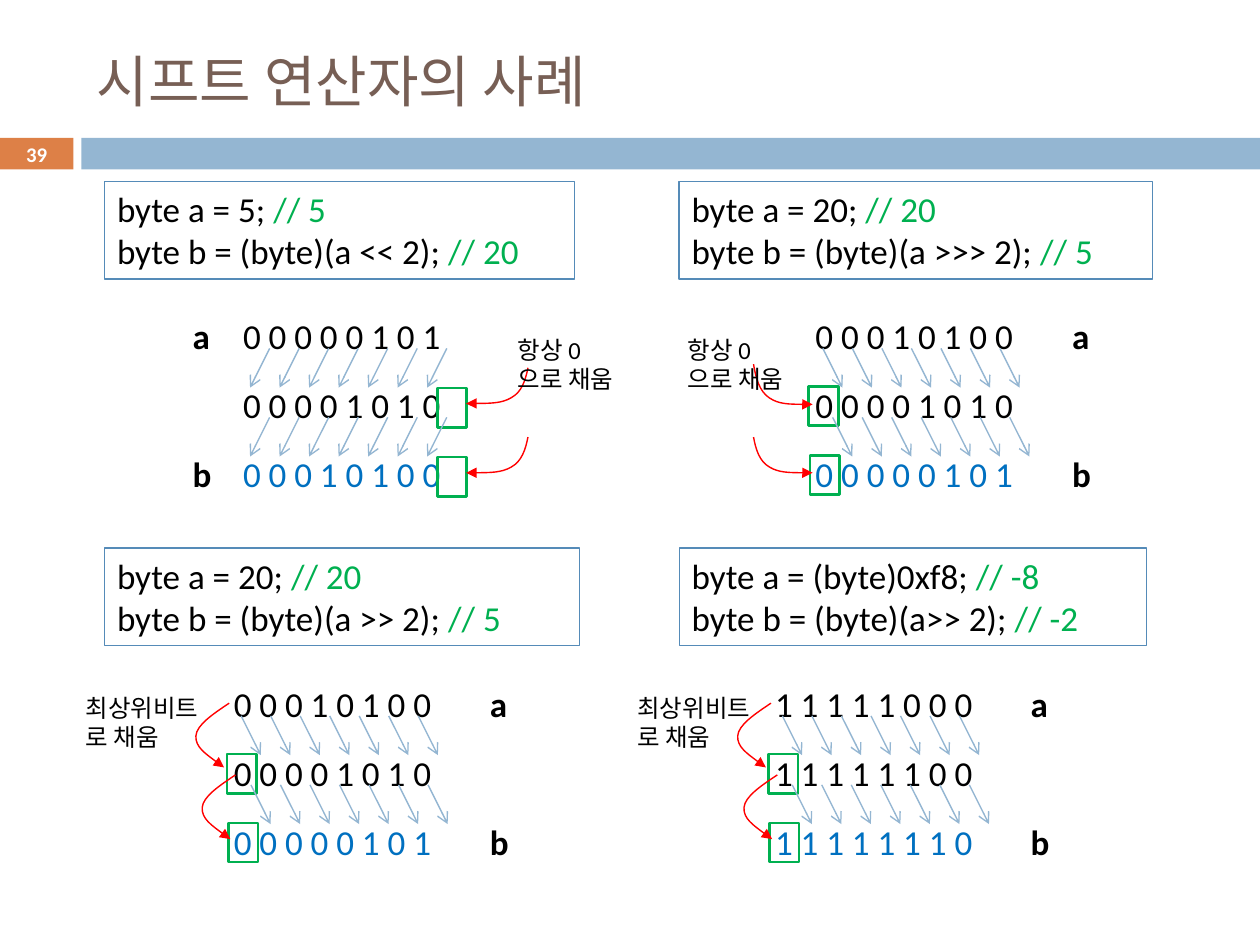
from dataclasses import dataclass

import pptx
import pptx.dml.color
import pptx.enum.shapes
import pptx.enum.text
import pptx.oxml
import pptx.oxml.ns
import pptx.util
from lxml import etree

Pt = pptx.util.Pt
ALIGN = pptx.enum.text.PP_ALIGN
ANCHOR = pptx.enum.text.MSO_ANCHOR
RECT = pptx.enum.shapes.MSO_SHAPE.RECTANGLE
qn = pptx.oxml.ns.qn

COLORS = {
    "title": "775F55", "accent": "DD8047", "band": "94B6D2", "border": "558BB8",
    "text": "000000", "comment": "00B050", "result": "0070C0", "fill_arc": "FF0000",
    "white": "FFFFFF",
}
ROW_PITCH = 39.4
ROW_HEIGHT = 31.5
BITS_WIDTH = 142.6
ARROW_COUNT = 7
ARROW_STEP = 16.87
ARROW_DX, ARROW_DY = 11.2, 22.4

# Bezier points as fractions of an arc's width and height, after the start point
HOOK = ((0.04, 0.35), (0.1, 0.68), (0.27, 0.84), (0.43, 1), (0.71, 1), (1, 1))
LOOP = ((0.48, 0.17), (0.96, 0.34), (0.98, 0.51), (1, 0.68), (0.57, 0.84), (0.15, 1))


@dataclass
class Arc:
    x: float
    y: float
    dx: float
    dy: float


@dataclass
class Panel:
    code: tuple[tuple[str, str], ...]
    code_x: float
    code_y: float
    code_width: float
    bits: tuple[str, str, str]
    bits_x: float
    bits_y: float
    label_x: float
    note: str
    note_x: float
    curve: tuple
    arcs: tuple[Arc, Arc]
    left_shift: bool = False


ALWAYS_ZERO = "항상 0\v으로 채움"
TOP_BIT = "최상위비트\v로 채움"
PANELS = (
    Panel((("byte a = 5; ", "// 5"), ("byte b = (byte)(a << 2); ", "// 20")),
          59.8, 103.7, 268.6, ("0 0 0 0 0 1 0 1", "0 0 0 0 1 0 1 0", "0 0 0 1 0 1 0 0"),
          131.8, 176.4, 103, ALWAYS_ZERO, 288.7, HOOK,
          (Arc(301.7, 210.2, -35.3, 20.4), Arc(301.7, 249.8, -35.3, 20.4)), True),
    Panel((("byte a = 20;", " // 20"), ("byte b = (byte)(a >>> 2); ", "// 5")),
          388.1, 103.7, 270.7, ("0 0 0 1 0 1 0 0", "0 0 0 0 1 0 1 0", "0 0 0 0 0 1 0 1"),
          458.9, 176.4, 605.5, ALWAYS_ZERO, 385.9, HOOK,
          (Arc(430.6, 208.1, 33.8, 23), Arc(430.6, 249.8, 33.8, 20.4))),
    Panel((("byte a = 20; ", "// 20"), ("byte b = (byte)(a >> 2); ", "// 5")),
          59.8, 313.2, 271.4, ("0 0 0 1 0 1 0 0", "0 0 0 0 1 0 1 0", "0 0 0 0 0 1 0 1"),
          126.5, 386.4, 272.9, TOP_BIT, 41.8, LOOP,
          (Arc(131, 401.8, -19.4, 36.7), Arc(134.6, 442.8, -19.4, 36.7))),
    Panel((("byte a = (byte)0xf8; ", "// -8"), ("byte b = (byte)(a>> 2); ", "// -2")),
          388.1, 313.2, 267.1, ("1 1 1 1 1 0 0 0", "1 1 1 1 1 1 0 0", "1 1 1 1 1 1 1 0"),
          435.8, 386.4, 581.8, TOP_BIT, 357.1, LOOP,
          (Arc(440.6, 401.8, -19.4, 36.7), Arc(444.2, 442.8, -19.4, 36.7))),
)


def rgb(name: str):
    return pptx.dml.color.RGBColor.from_string(COLORS[name])


def style_line(shape, color: str, width: float, arrowhead: str = "") -> None:
    shape.line.color.rgb = rgb(color)
    shape.line.width = Pt(width)
    if arrowhead:
        ln = shape.line._get_or_add_ln()
        etree.SubElement(ln, qn("a:tailEnd"), type=arrowhead)


def add_rect(s, x: float, y: float, w: float, h: float, fill: str = "",
             line: str = "", line_width: float = 0):
    sp = s.shapes.add_shape(RECT, Pt(x), Pt(y), Pt(w), Pt(h))
    sp.shadow.inherit = False
    if fill:
        sp.fill.solid()
        sp.fill.fore_color.rgb = rgb(fill)
    else:
        sp.fill.background()
    if line:
        style_line(sp, line, line_width)
    else:
        sp.line.fill.background()
    return sp


def add_text(s, text: str, x: float, y: float, w: float, h: float, size: float = 20,
             color: str = "text", bold: bool = False):
    tf = s.shapes.add_textbox(Pt(x), Pt(y), Pt(w), Pt(h)).text_frame
    tf.word_wrap = True
    p = tf.paragraphs[0]
    p.text = text
    p.font.name = "Calibri"
    p.font.size = Pt(size)
    p.font.bold = bold
    p.font.color.rgb = rgb(color)
    return tf


def add_code(s, panel: Panel) -> None:
    sp = add_rect(s, panel.code_x, panel.code_y, panel.code_width, 55.7,
                  line="border", line_width=0.75)
    tf = sp.text_frame
    tf.word_wrap = True
    tf.vertical_anchor = ANCHOR.TOP
    for i, parts in enumerate(panel.code):
        p = tf.add_paragraph() if i else tf.paragraphs[0]
        p.alignment = ALIGN.LEFT
        p.font.name = "Calibri"
        p.font.size = Pt(20)
        for text, color in zip(parts, ("text", "comment")):
            r = p.add_run()
            r.text = text
            r.font.color.rgb = rgb(color)


def add_arrow(s, x: float, y: float, dx: float) -> None:
    line = s.shapes.add_connector(pptx.enum.shapes.MSO_CONNECTOR.STRAIGHT,
                                  Pt(x), Pt(y), Pt(x + dx), Pt(y + ARROW_DY))
    style_line(line, "band", 0.79, "arrow")
    etree.SubElement(line._element.spPr, qn("a:effectLst"))


def add_arc(s, arc: Arc, curve: tuple) -> None:
    """Draw an open freeform whose segments are cubic Bezier curves."""
    points = [(Pt(arc.x + fx * arc.dx), Pt(arc.y + fy * arc.dy)) for fx, fy in curve]
    builder = s.shapes.build_freeform(Pt(arc.x), Pt(arc.y))
    builder.add_line_segments(points, close=False)
    sp = builder.convert_to_shape()
    segments = list(sp._element.iter(qn("a:lnTo")))
    for i in range(0, len(segments), 3):
        bezier = etree.Element(qn("a:cubicBezTo"))
        segments[i].addprevious(bezier)
        for segment in segments[i:i + 3]:
            bezier.append(segment[0])
            segment.getparent().remove(segment)
    sp.shadow.inherit = False
    sp.fill.background()
    style_line(sp, "fill_arc", 0.79, "triangle")


def add_panel(s, panel: Panel) -> None:
    add_code(s, panel)
    for row, bits in enumerate(panel.bits):
        add_text(s, bits, panel.bits_x, panel.bits_y + row * ROW_PITCH, BITS_WIDTH,
                 ROW_HEIGHT, color="result" if row == 2 else "text")
    for row, label in ((0, "a"), (2, "b")):
        add_text(s, label, panel.label_x, panel.bits_y + row * ROW_PITCH, 26,
                 ROW_HEIGHT, bold=True)
    if panel.left_shift:
        arrow_x, arrow_shift, dx = 22.3, 0, -ARROW_DX
        box_x, box_shift, box_y = 118.1, 0, 45.4
    else:
        arrow_x, arrow_shift, dx = 11.3, 5.6, ARROW_DX
        box_x, box_shift, box_y = 3.3, 0.7, 44.4
    for step, arc in enumerate(panel.arcs):
        top = panel.bits_y + step * ROW_PITCH
        for i in range(ARROW_COUNT):
            x = panel.bits_x + arrow_x + step * arrow_shift + i * ARROW_STEP
            add_arrow(s, x, top + 22.7, dx)
        add_rect(s, panel.bits_x + box_x + step * box_shift, top + box_y, 16.9, 22.5,
                 line="comment", line_width=1.5)
        add_arc(s, arc, panel.curve)
    note_offset = 11.5 if panel.curve is HOOK else 6
    add_text(s, panel.note, panel.note_x, panel.bits_y + note_offset,
             77 if panel.curve is HOOK else 81, 41.4, size=14)


def add_title(s, text: str) -> None:
    title = s.shapes.title
    title.left, title.top, title.width, title.height = Pt(48.2), Pt(18), Pt(642.2), Pt(55.4)
    tf = title.text_frame
    tf.vertical_anchor = ANCHOR.MIDDLE
    p = tf.paragraphs[0]
    r = p.add_run()
    r.text = text
    p.alignment = ALIGN.LEFT
    r.font.size = Pt(32)
    r.font.color.rgb = rgb("title")
    r.font.name = "Noto Sans CJK KR"
    latin = r.font._element.find(qn("a:latin"))
    latin.addnext(etree.Element(qn("a:ea"), typeface="Noto Sans CJK KR"))


def main() -> None:
    prs = pptx.Presentation()
    prs.slide_width, prs.slide_height = Pt(720), Pt(540)
    s = prs.slides.add_slide(prs.slide_layouts[5])
    add_rect(s, 0, 78.8, 42, 18, fill="accent")
    add_rect(s, 46.5, 78.8, 673.5, 18, fill="band")
    add_title(s, "시프트 연산자의 사례")
    for panel in PANELS:
        add_panel(s, panel)
    number = add_text(s, "39", 0, 78.5, 42, 19.2, 11.9, "white", True)
    number.vertical_anchor = ANCHOR.MIDDLE
    number.paragraphs[0].alignment = ALIGN.CENTER
    prs.save("out.pptx")


if __name__ == "__main__":
    main()
